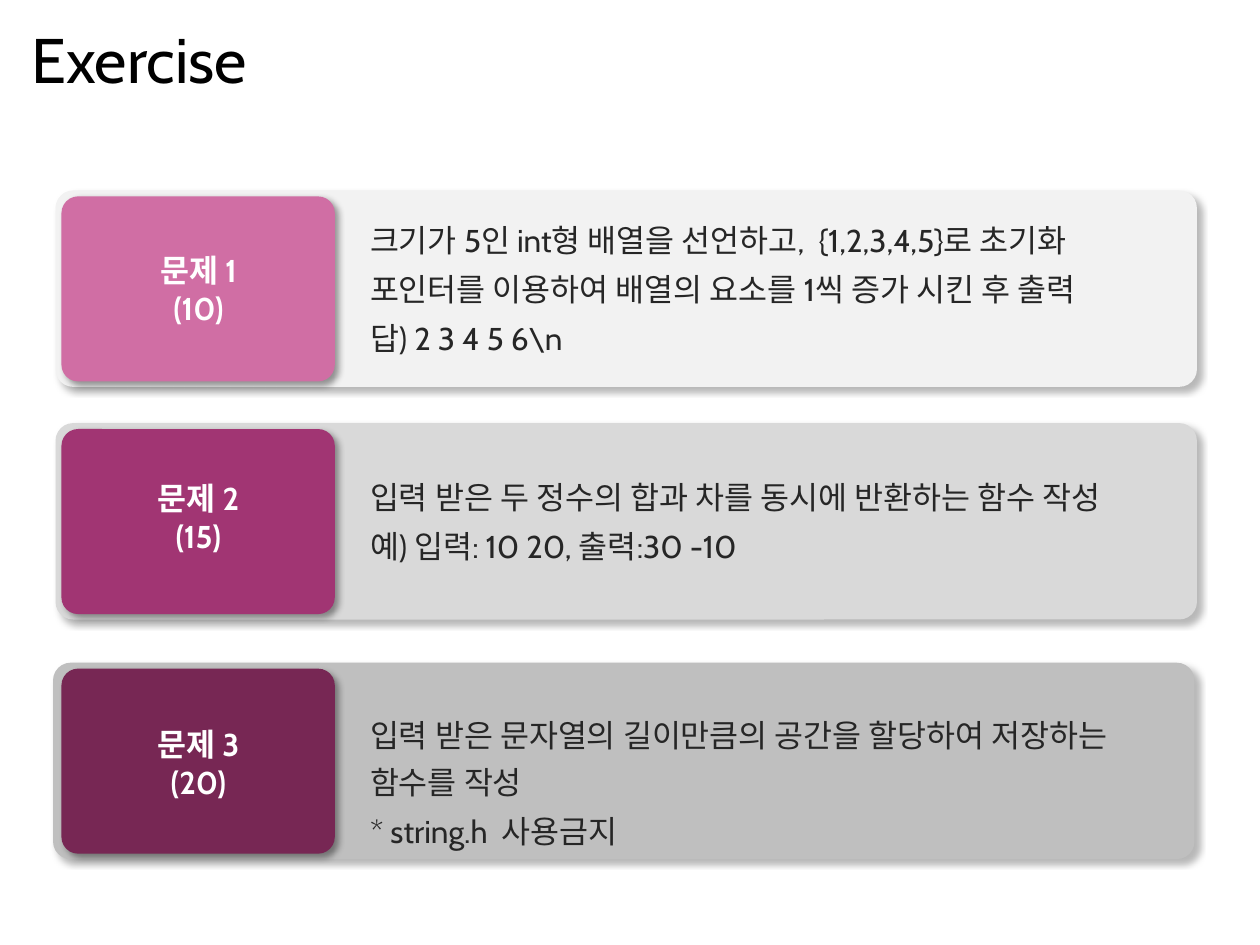
import pptx
import pptx.util
import pptx.oxml
import pptx.oxml.ns
import pptx.dml.color
import pptx.enum.shapes
import pptx.enum.text
from pptx.util import Cm, Pt

COLORS = {
    "title": "000000", "label": "FFFFFF", "body": "262626", "shadow": "000000",
    "pink": "D06EA4", "magenta": "A13573", "plum": "772754",
    "pale": "F2F2F2", "light": "D9D9D9", "gray": "BFBFBF",
}
TITLE = "Exercise"
EXERCISES = [
    {"label": ["문제 1", "(10)"], "card": "pale", "badge": "pink",
     "left": 1.12, "top": 3.84, "label_top": 4.93, "body_top": 4.14, "body_height": 3.23,
     "body": ["크기가 5인 int형 배열을 선언하고,  {1,2,3,4,5}로 초기화",
              "포인터를 이용하여 배열의 요소를 1씩 증가 시킨 후 출력",
              "답) 2 3 4 5 6\\n"]},
    {"label": ["문제 2", "(15)"], "card": "light", "badge": "magenta",
     "left": 1.12, "top": 8.53, "label_top": 9.53, "body_top": 9.32, "body_height": 2.21,
     "body": ["입력 받은 두 정수의 합과 차를 동시에 반환하는 함수 작성",
              "예) 입력: 10 20, 출력:30 -10"]},
    {"label": ["문제 3", "(20)"], "card": "gray", "badge": "plum",
     "left": 1.07, "top": 13.36, "label_top": 14.5, "body_top": 14.12, "body_height": 3.18,
     "body": ["입력 받은 문자열의 길이만큼의 공간을 할당하여 저장하는 함수를 작성",
              "* string.h  사용금지"]},
]
CARD_SIZE = (23.01, 3.96)
BADGE_SIZE = (5.51, 3.73)
BADGE_LEFT, BADGE_INSET = 1.24, 0.12
LABEL_LEFT, LABEL_SIZE = 2.82, (2.36, 1.8)
BODY_LEFT, BODY_WIDTH = 7.21, 16.92

TITLE_FONT = {"name": "Cabin", "size": Pt(36)}
LABEL_FONT = {"name": "Cabin", "size": Pt(18), "bold": True}
BODY_FONT = {"name": "Cabin", "size": Pt(18)}
CENTERED = {"alignment": pptx.enum.text.PP_ALIGN.CENTER}
SPACED = {"line_spacing": Pt(27), "space_before": Pt(1)}
GROWING = pptx.enum.text.MSO_AUTO_SIZE.SHAPE_TO_FIT_TEXT


def set_values(target, values):
    for name, value in values.items():
        setattr(target, name, value)


def color(name):
    return pptx.dml.color.RGBColor.from_string(COLORS[name])


def add_panel(slide, position, size, fill, shadow_opacity):
    shape = slide.shapes.add_shape(
        pptx.enum.shapes.MSO_SHAPE.ROUNDED_RECTANGLE, *map(Cm, position + size))
    shape.adjustments[0] = 0.09
    shape.fill.solid()
    shape.fill.fore_color.rgb = color(fill)
    shape.line.fill.background()
    shape.shadow.inherit = False
    effects = shape.element.spPr.find(pptx.oxml.ns.qn("a:effectLst"))
    effects.append(pptx.oxml.parse_xml(
        f'<a:outerShdw {pptx.oxml.ns.nsdecls("a")} blurRad="{Pt(4)}" dist="{Pt(3)}" '
        f'dir="2700000" algn="tl" rotWithShape="0"><a:srgbClr val="{COLORS["shadow"]}">'
        f'<a:alpha val="{shadow_opacity * 1000}"/></a:srgbClr></a:outerShdw>'))


def add_text(slide, position, size, lines, font, font_color, layout, frame):
    text_frame = slide.shapes.add_textbox(*map(Cm, position + size)).text_frame
    set_values(text_frame, frame)
    for index, line in enumerate(lines):
        paragraph = text_frame.add_paragraph() if index else text_frame.paragraphs[0]
        set_values(paragraph, layout)
        run = paragraph.add_run()
        run.text = line
        set_values(run.font, font)
        run.font.color.rgb = color(font_color)


def add_exercise(slide, exercise):
    top = exercise["top"]
    add_panel(slide, (exercise["left"], top), CARD_SIZE, exercise["card"], 27)
    add_panel(slide, (BADGE_LEFT, top + BADGE_INSET), BADGE_SIZE, exercise["badge"], 40)
    add_text(slide, (LABEL_LEFT, exercise["label_top"]), LABEL_SIZE, exercise["label"],
             LABEL_FONT, "label", CENTERED, {"word_wrap": False, "auto_size": GROWING})
    add_text(slide, (BODY_LEFT, exercise["body_top"]), (BODY_WIDTH, exercise["body_height"]),
             exercise["body"], BODY_FONT, "body", SPACED,
             {"word_wrap": True, "auto_size": GROWING})


def main():
    presentation = pptx.Presentation()
    set_values(presentation, {"slide_width": Cm(25.4), "slide_height": Cm(19.05)})
    slide = presentation.slides.add_slide(presentation.slide_layouts[6])
    add_text(slide, (0.38, 0.3), (22.86, 1.75), [TITLE], TITLE_FONT, "title", {},
             {"word_wrap": True, "vertical_anchor": pptx.enum.text.MSO_ANCHOR.MIDDLE})
    for exercise in EXERCISES:
        add_exercise(slide, exercise)
    presentation.save("out.pptx")


if __name__ == "__main__":
    main()
